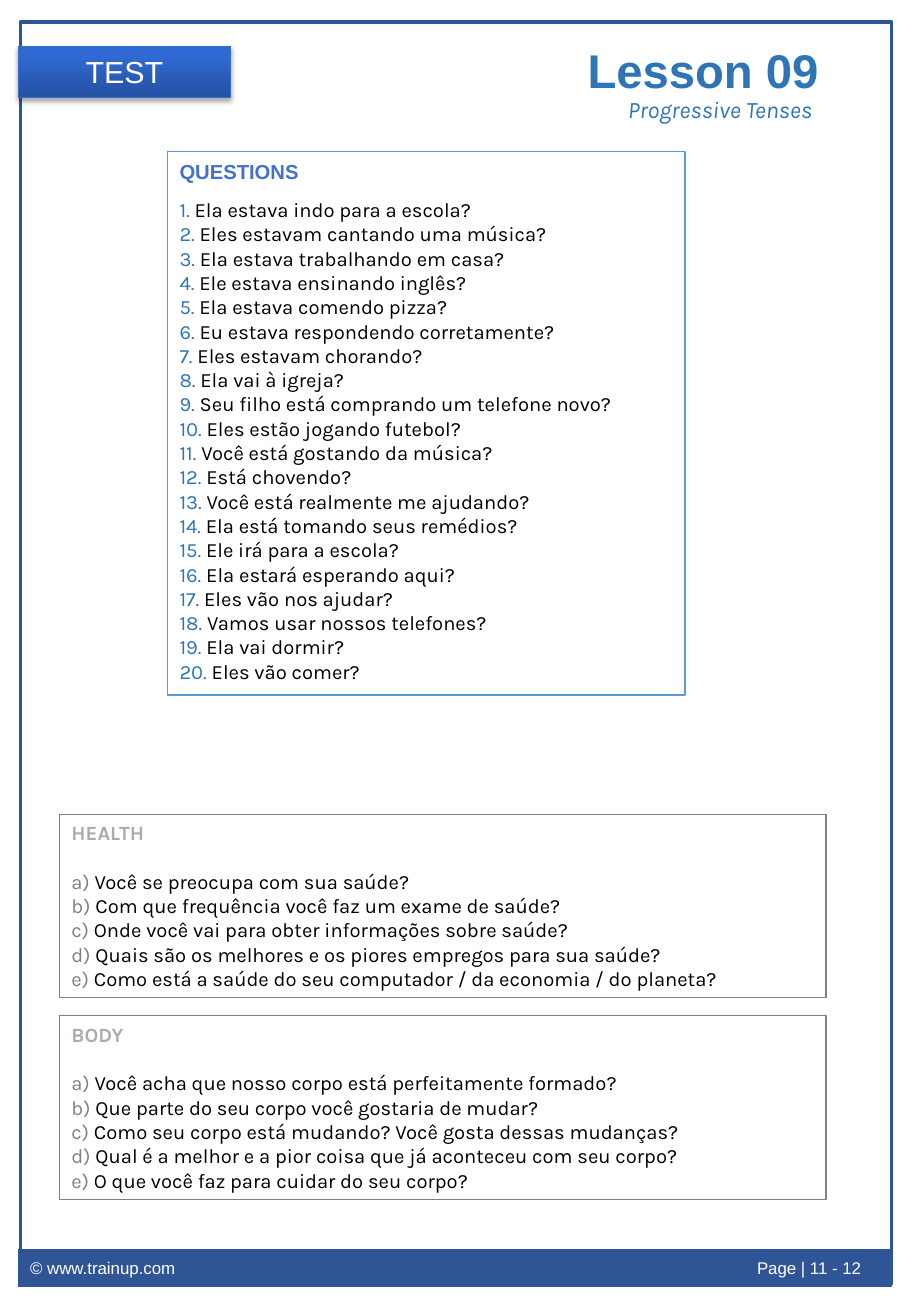
"""Build the Progressive Tenses test page with its question boxes."""
from dataclasses import dataclass
from typing import Optional

from pptx import Presentation
from pptx.dml.color import RGBColor as Rgb
from pptx.enum.shapes import MSO_SHAPE as Preset
from pptx.enum.text import MSO_ANCHOR as Anchor, MSO_AUTO_SIZE as AutoSize, PP_ALIGN as Align
from pptx.oxml import parse_xml
from pptx.oxml.ns import nsdecls
from pptx.util import Inches, Pt

COLORS = {
    "navy": "2F5597", "title": "2E75B6", "heading": "4472C4", "box": "5B9BD5",
    "gray": "808080", "light_gray": "AEAAAA", "black": "000000", "white": "FFFFFF",
    "badge_line": "3F6FC3", "badge_dark": "2451A1", "badge_mid": "2F69D1",
    "badge_light": "2C69D5",
}


@dataclass
class Area:
    left: float
    top: float
    width: float
    height: float


@dataclass
class Title:
    text: str
    area: Area
    size: float
    font: str
    bold: bool = False
    italic: bool = False


@dataclass
class QuestionBox:
    heading: str
    area: Area
    line: str
    heading_font: str
    heading_color: str
    label_color: str
    gap: float
    spacing: float
    labels: list[str]
    questions: list[str]


QUESTIONS = [
    "Ela estava indo para a escola?",
    "Eles estavam cantando uma música?",
    "Ela estava trabalhando em casa?",
    "Ele estava ensinando inglês?",
    "Ela estava comendo pizza?",
    "Eu estava respondendo corretamente?",
    "Eles estavam chorando?",
    "Ela vai à igreja?",
    "Seu filho está comprando um telefone novo?",
    "Eles estão jogando futebol?",
    "Você está gostando da música?",
    "Está chovendo?",
    "Você está realmente me ajudando?",
    "Ela está tomando seus remédios?",
    "Ele irá para a escola?",
    "Ela estará esperando aqui?",
    "Eles vão nos ajudar?",
    "Vamos usar nossos telefones?",
    "Ela vai dormir?",
    "Eles vão comer?",
]
HEALTH = [
    "Você se preocupa com sua saúde?",
    "Com que frequência você faz um exame de saúde?",
    "Onde você vai para obter informações sobre saúde?",
    "Quais são os melhores e os piores empregos para sua saúde?",
    "Como está a saúde do seu computador / da economia / do planeta?",
]
BODY = [
    "Você acha que nosso corpo está perfeitamente formado?",
    "Que parte do seu corpo você gostaria de mudar?",
    "Como seu corpo está mudando? Você gosta dessas mudanças?",
    "Qual é a melhor e a pior coisa que já aconteceu com seu corpo?",
    "O que você faz para cuidar do seu corpo?",
]
NUMBERS = [f"{number}. " for number in range(1, len(QUESTIONS) + 1)]
LETTERS = [f"{letter}) " for letter in "abcde"]

BOXES = [
    QuestionBox("QUESTIONS", Area(1.38, 1.25, 4.26, 4.47), "box", "Arial", "heading",
                "title", 8, 1.07, NUMBERS, QUESTIONS),
    QuestionBox("HEALTH", Area(0.49, 6.7, 6.31, 1.51), "gray", "Karla", "light_gray",
                "gray", 14.5, 1, LETTERS, HEALTH),
    QuestionBox("BODY", Area(0.49, 8.36, 6.31, 1.51), "gray", "Karla", "light_gray",
                "gray", 14.5, 1, LETTERS, BODY),
]
TITLES = [
    Title("Lesson 09", Area(4.74, 0.29, 2.13, 0.57), 28, "Arial", bold=True),
    Title("Progressive Tenses", Area(5.07, 0.73, 1.75, 0.34), 14, "Karla", italic=True),
]


def place(area: Area) -> list:
    """Return the area as lengths."""
    return [Inches(value) for value in (area.left, area.top, area.width, area.height)]


def style(run, size: float, font: str, color: str, bold: bool = False,
          italic: bool = False) -> None:
    """Format one run."""
    run.font.size, run.font.name = Pt(size), font
    run.font.bold, run.font.italic = bold, italic
    run.font.color.rgb = Rgb.from_string(COLORS[color])


def add_panel(slide, area: Area, fill: Optional[str] = None, line: Optional[str] = None,
              weight: float = 0.75, preset=Preset.RECTANGLE):
    """Add a flat shape with optional fill and outline."""
    shape = slide.shapes.add_shape(preset, *place(area))
    shape.shadow.inherit = False
    if fill:
        shape.fill.solid()
        shape.fill.fore_color.rgb = Rgb.from_string(COLORS[fill])
    else:
        shape.fill.background()
    if line:
        shape.line.color.rgb = Rgb.from_string(COLORS[line])
        shape.line.width = Pt(weight)
    else:
        shape.line.fill.background()
    return shape


def add_footer(slide) -> None:
    """Add the footer bar with a right-aligned page number."""
    shape = add_panel(slide, Area(0.15, 10.28, 7.19, 0.31), fill="navy")
    paragraph = shape.text_frame.paragraphs[0]
    paragraph.text = "© www.trainup.com\tPage | 11 - 12"
    paragraph.alignment = Align.LEFT
    paragraph._p.get_or_add_pPr().append(parse_xml(
        f'<a:tabLst {nsdecls("a")}><a:tab pos="{Inches(6.84)}" algn="r"/></a:tabLst>'))
    style(paragraph.runs[0], 10, "Arial", "white")


def add_badge(slide) -> None:
    """Add the TEST badge with its gradient and shadow."""
    shape = add_panel(slide, Area(0.15, 0.38, 1.75, 0.42), line="badge_line",
                      preset=Preset.ROUNDED_RECTANGLE)
    shape.adjustments[0] = 0
    stops = "".join(
        f'<a:gs pos="{position * 1000}"><a:srgbClr val="{COLORS[color]}"/></a:gs>'
        for position, color in ((0, "badge_dark"), (80, "badge_mid"), (100, "badge_light")))
    properties = shape._element.spPr
    properties.replace(properties.find("{*}noFill"), parse_xml(
        f'<a:gradFill {nsdecls("a")} rotWithShape="1"><a:gsLst>{stops}</a:gsLst>'
        '<a:lin ang="16200000" scaled="0"/></a:gradFill>'))
    properties.find("{*}effectLst").append(parse_xml(
        f'<a:outerShdw {nsdecls("a")} blurRad="{Pt(3.1)}" dist="{Pt(1.8)}" dir="5400000" '
        f'rotWithShape="0"><a:srgbClr val="{COLORS["black"]}"><a:alpha val="35000"/>'
        '</a:srgbClr></a:outerShdw>'))
    shape.text_frame.text = "TEST"
    paragraph = shape.text_frame.paragraphs[0]
    paragraph.alignment = Align.CENTER
    style(paragraph.runs[0], 18, "Arial", "white")


def add_title(slide, title: Title) -> None:
    """Add one line of the page title."""
    shape = slide.shapes.add_textbox(*place(title.area))
    frame = shape.text_frame
    frame.text = title.text
    frame.word_wrap = False
    frame.auto_size = AutoSize.SHAPE_TO_FIT_TEXT
    style(frame.paragraphs[0].runs[0], title.size, title.font, "title",
          title.bold, title.italic)


def add_question_box(slide, box: QuestionBox) -> None:
    """Add an outlined box with a heading and labelled questions."""
    frame = add_panel(slide, box.area, line=box.line).text_frame
    frame.vertical_anchor = Anchor.TOP
    frame.text = box.heading
    heading = frame.paragraphs[0]
    heading.alignment = Align.LEFT
    heading.line_spacing, heading.space_after = box.spacing, Pt(box.gap)
    style(heading.runs[0], 12, box.heading_font, box.heading_color, bold=True)
    for label, question in zip(box.labels, box.questions):
        paragraph = frame.add_paragraph()
        paragraph.alignment = Align.LEFT
        for text, color in ((label, box.label_color), (question, "black")):
            run = paragraph.add_run()
            run.text = text
            style(run, 12, "Karla", color)


def main() -> None:
    """Build and save the page."""
    presentation = Presentation()
    presentation.slide_width, presentation.slide_height = Inches(7.5), Inches(10.83)
    slide = presentation.slides.add_slide(presentation.slide_layouts[6])
    add_panel(slide, Area(0.17, 0.18, 7.17, 10.39), line="navy", weight=2)
    add_footer(slide)
    add_badge(slide)
    for title in TITLES:
        add_title(slide, title)
    for box in BOXES:
        add_question_box(slide, box)
    presentation.save("out.pptx")


if __name__ == "__main__":
    main()
